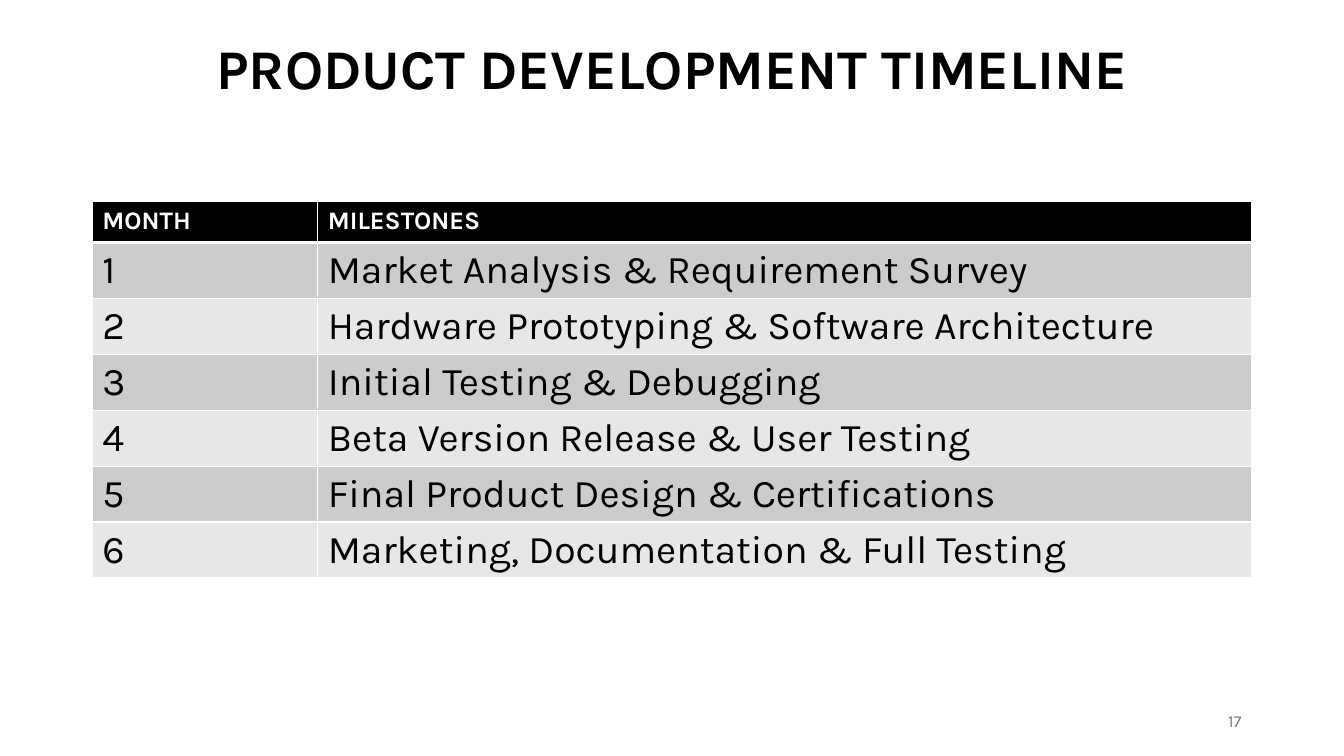
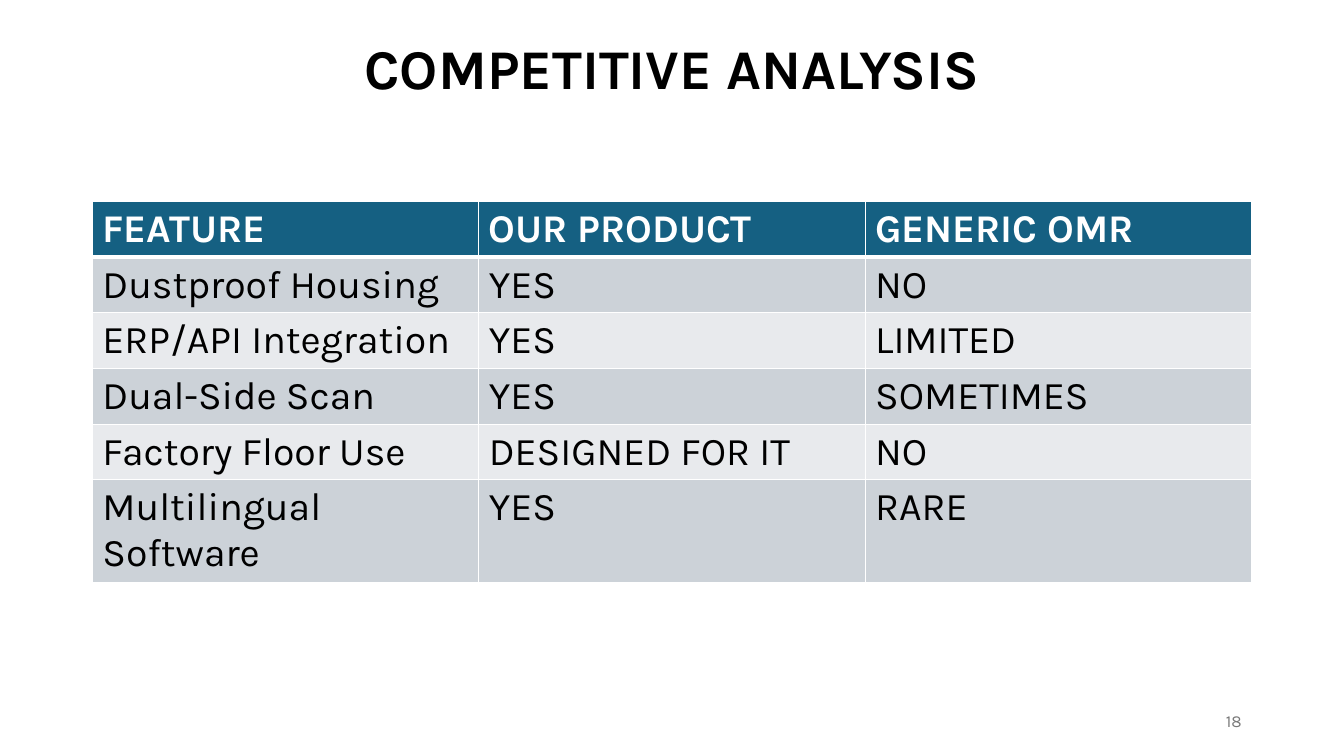
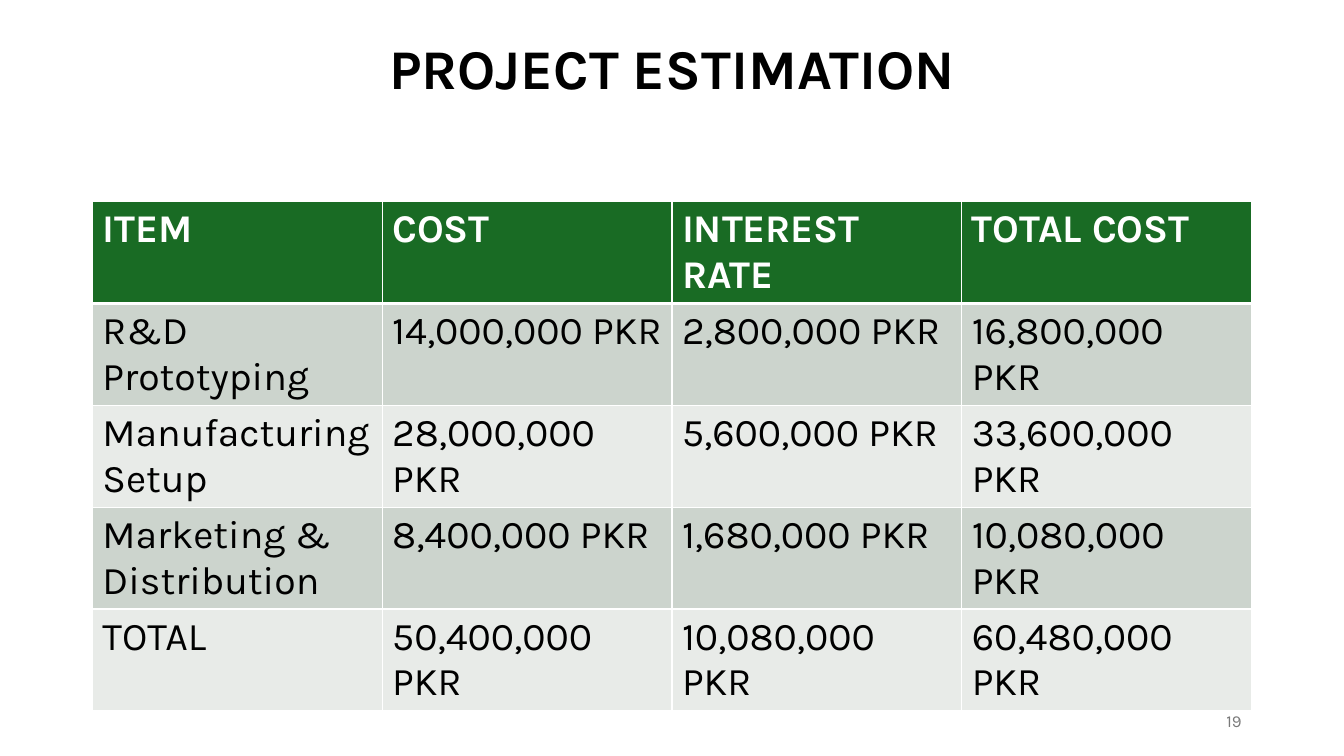
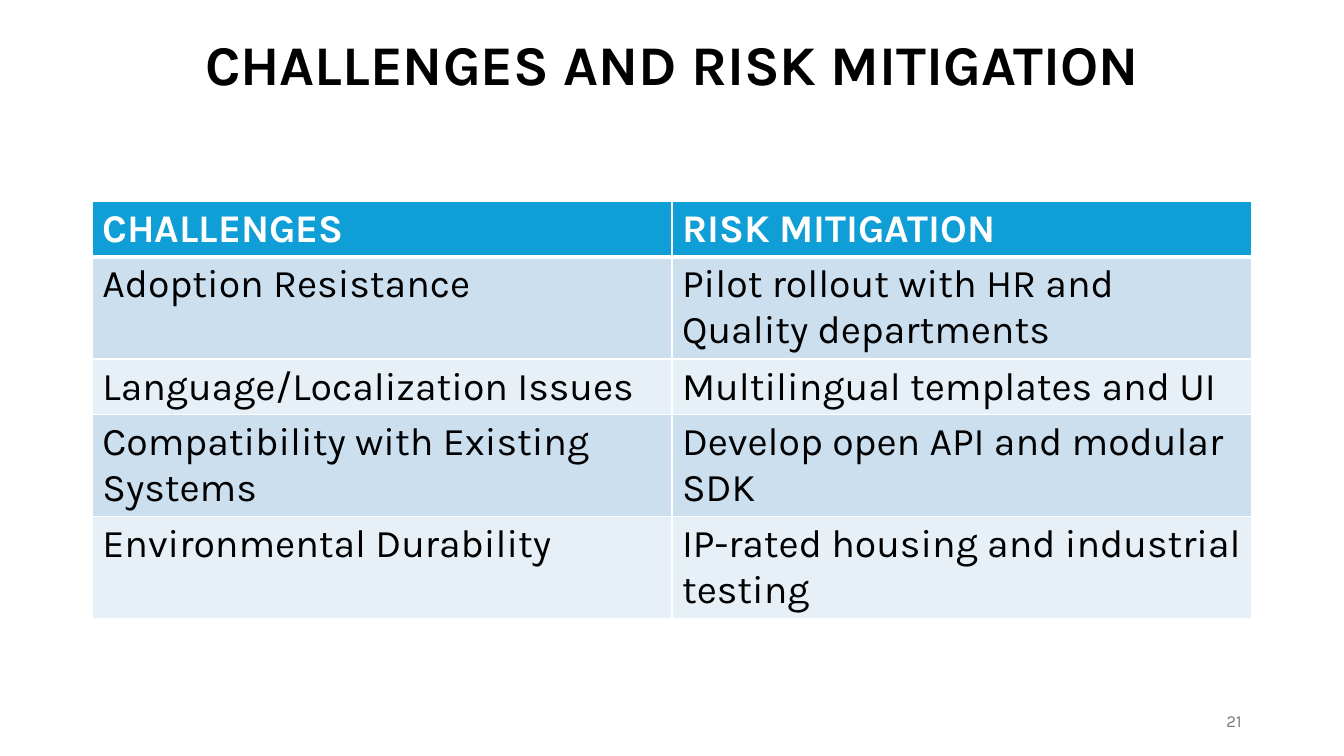
from lxml.etree import SubElement
from pptx import Presentation
from pptx.dml.color import RGBColor as RGB
from pptx.enum.text import MSO_ANCHOR as ANCHOR, PP_ALIGN as ALIGN
from pptx.oxml.ns import qn
from pptx.util import Pt

FONT = "Karla"
COLORS = {"black": "000000", "white": "FFFFFF", "number": "797979"}
THEMES = {
    "black": ("000000", "CCCCCC", "E7E7E7"),
    "teal": ("156082", "CCD2D8", "E8EAED"),
    "green": ("196B24", "CCD4CD", "E8EBE8"),
    "blue": ("0F9ED5", "CCDFEF", "E7F0F7"),
}
LEFT, WIDTH = 66, 828
TABLE_TOP, ROW_HEIGHT = 144, 29.2
TITLE_TOP, TITLE_HEIGHT = 21, 60
NUMBER_BOX = (678, 500.5, 216, 28.8)

SLIDES = [
    {
        "title": "PRODUCT DEVELOPMENT TIMELINE", "number": 17, "theme": "black",
        "columns": [161, 667], "height": 274.3, "bottom_pad": 2.7, "header_size": 18,
        "rows": [
            ["MONTH", "MILESTONES"],
            ["1", "Market Analysis & Requirement Survey"],
            ["2", "Hardware Prototyping & Software Architecture"],
            ["3", "Initial Testing & Debugging"],
            ["4", "Beta Version Release & User Testing"],
            ["5", "Final Product Design & Certifications"],
            ["6", "Marketing, Documentation & Full Testing"],
        ],
    },
    {
        "title": "COMPETITIVE ANALYSIS", "number": 18, "theme": "teal",
        "columns": [WIDTH / 3] * 3, "height": 244.8, "bottom_pad": 2.5,
        "rows": [
            ["FEATURE", "OUR PRODUCT", "GENERIC OMR"],
            ["Dustproof Housing", "YES", "NO"],
            ["ERP/API Integration", "YES", "LIMITED"],
            ["Dual-Side Scan", "YES", "SOMETIMES"],
            ["Factory Floor Use", "DESIGNED FOR IT", "NO"],
            ["Multilingual Software", "YES", "RARE"],
        ],
    },
    {
        "title": "PROJECT ESTIMATION", "number": 19, "theme": "green",
        "columns": [WIDTH / 4] * 4, "height": 304.6, "bottom_pad": 1.9,
        "rows": [
            ["ITEM", "COST", "INTEREST RATE", "TOTAL COST"],
            ["R&D Prototyping", "14,000,000 PKR", "2,800,000 PKR", "16,800,000 PKR"],
            ["Manufacturing Setup", "28,000,000 PKR", "5,600,000 PKR", "33,600,000 PKR"],
            ["Marketing & Distribution", "8,400,000 PKR", "1,680,000 PKR", "10,080,000 PKR"],
            ["TOTAL", "50,400,000 PKR", "10,080,000 PKR", "60,480,000 PKR"],
        ],
    },
    {
        "title": "CHALLENGES AND RISK MITIGATION", "number": 21, "theme": "blue",
        "columns": [WIDTH / 2] * 2, "height": 304.6, "bottom_pad": 2.2,
        "title_height": 55,
        "rows": [
            ["CHALLENGES", "RISK MITIGATION"],
            ["Adoption Resistance", "Pilot rollout with HR and Quality departments"],
            ["Language/Localization Issues", "Multilingual templates and UI"],
            ["Compatibility with Existing Systems", "Develop open API and modular SDK"],
            ["Environmental Durability", "IP-rated housing and industrial testing"],
        ],
    },
]


def add_run(p, text, size, color, bold=False):
    """Add one styled run to a paragraph."""
    r = p.add_run()
    r.text = text
    r.font.name = FONT
    r.font.size = Pt(size)
    r.font.bold = bold
    r.font.color.rgb = RGB.from_string(color)


def add_text(s, box, text, size, color, align, bold=False, spacing=None):
    """Add a one-paragraph text box, centred vertically in its box."""
    tf = s.shapes.add_textbox(*map(Pt, box)).text_frame
    tf.word_wrap = True
    tf.vertical_anchor = ANCHOR.MIDDLE
    p = tf.paragraphs[0]
    p.alignment = align
    p.line_spacing = spacing
    add_run(p, text, size, color, bold)


def set_borders(cell, top, bottom):
    """Give a cell white borders, with its own top and bottom widths."""
    tc_pr = cell._tc.get_or_add_tcPr()
    for side, width in (("L", 1), ("R", 1), ("T", top), ("B", bottom)):
        ln = SubElement(tc_pr, qn(f"a:ln{side}"), w=str(Pt(width)))
        fill = SubElement(ln, qn("a:solidFill"))
        SubElement(fill, qn("a:srgbClr"), val=COLORS["white"])


def add_data_table(s, box, rows, columns, theme, bottom_pad, header_size):
    """Add a table with a coloured header and two alternating row shades."""
    frame = s.shapes.add_table(len(rows), len(columns), *map(Pt, box))
    table = frame.table
    table.horz_banding = False
    header, *shades = THEMES[theme]
    for column, width in zip(table.columns, columns):
        column.width = Pt(width)
    for i, texts in enumerate(rows):
        table.rows[i].height = Pt(ROW_HEIGHT)
        is_header = i == 0
        fill = header if is_header else shades[(i - 1) % 2]
        color = COLORS["white" if is_header else "black"]
        size = header_size if is_header else 28
        for j, text in enumerate(texts):
            cell = table.cell(i, j)
            cell.margin_bottom = Pt(bottom_pad)
            set_borders(cell, 3 if i == 1 else 1, 3 if is_header else 1)
            cell.fill.solid()
            cell.fill.fore_color.rgb = RGB.from_string(fill)
            add_run(cell.text_frame.paragraphs[0], text, size, color, is_header)
    frame.height = Pt(box[3])


def add_table_slide(prs, title, number, theme, columns, height, rows, bottom_pad,
                    header_size=28, title_height=TITLE_HEIGHT):
    """Add a slide with a title, a table and a slide number."""
    s = prs.slides.add_slide(prs.slide_layouts[6])
    add_text(s, (LEFT, TITLE_TOP, WIDTH, title_height), title, 40,
             COLORS["black"], ALIGN.CENTER, bold=True, spacing=0.9)
    add_data_table(s, (LEFT, TABLE_TOP, WIDTH, height), rows, columns, theme,
                   bottom_pad, header_size)
    add_text(s, NUMBER_BOX, str(number), 12, COLORS["number"], ALIGN.RIGHT)


def main():
    """Build and save the presentation."""
    prs = Presentation()
    prs.slide_width, prs.slide_height = Pt(960), Pt(540)
    for content in SLIDES:
        add_table_slide(prs, **content)
    prs.save("out.pptx")


if __name__ == "__main__":
    main()
